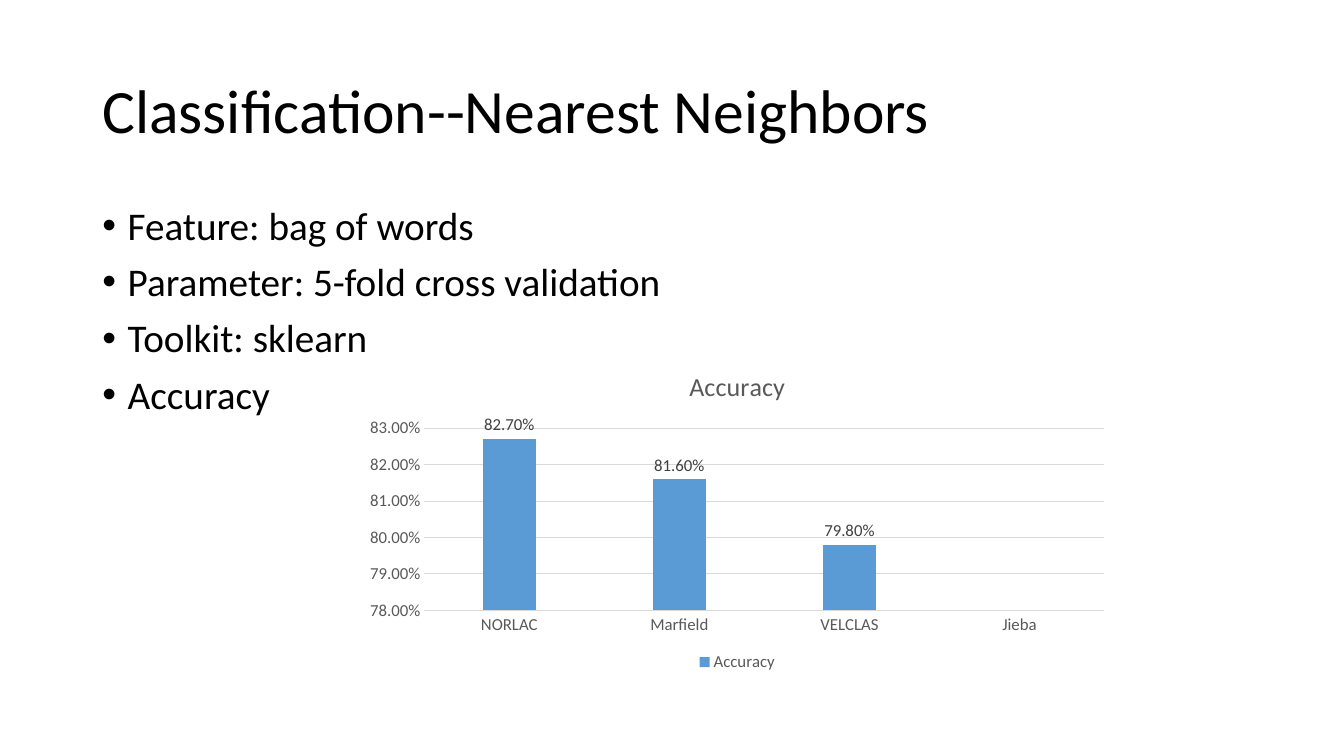
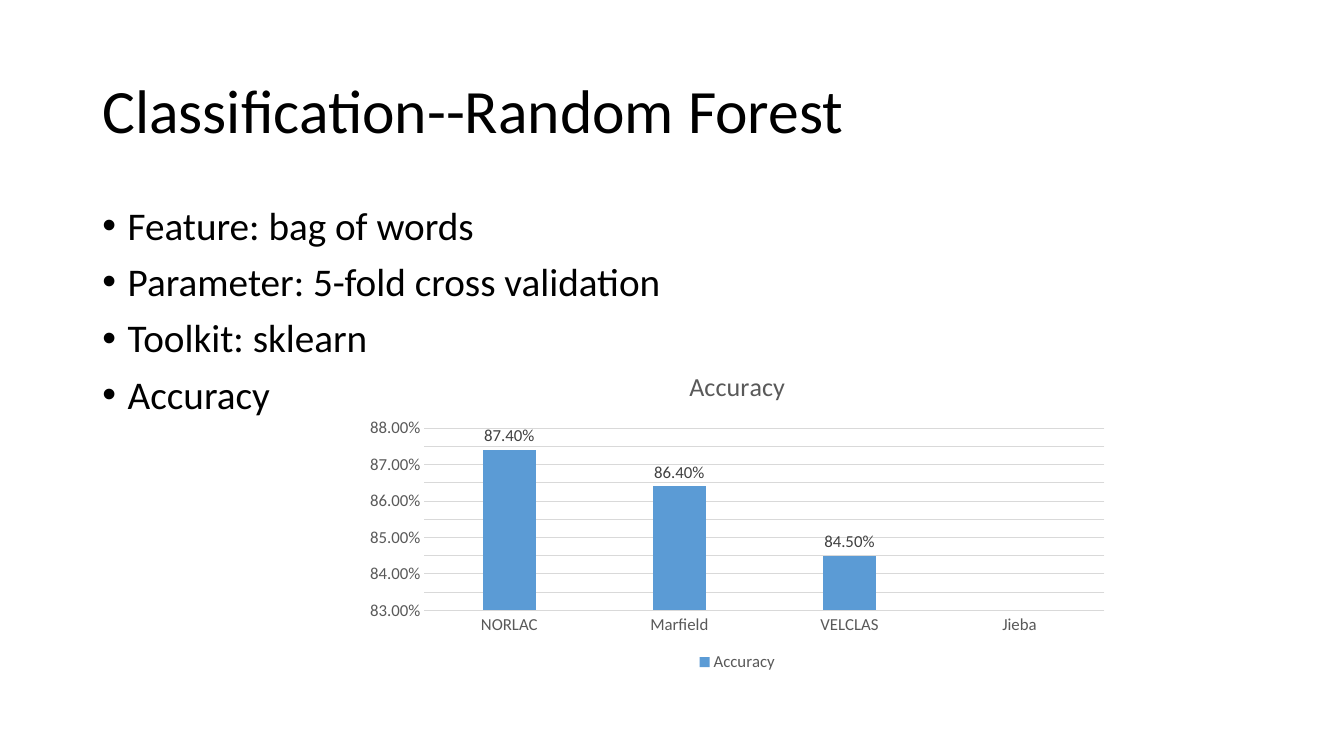
from pptx import Presentation
from pptx.chart.data import CategoryChartData as Data
from pptx.dml.color import RGBColor as RGB
from pptx.enum.chart import XL_CHART_TYPE as Kind, XL_LABEL_POSITION as Spot
from pptx.enum.chart import XL_LEGEND_POSITION as Side, XL_TICK_MARK as Tick
from pptx.enum.text import MSO_ANCHOR as Anchor
from pptx.oxml import parse_xml
from pptx.oxml.ns import nsdecls
from pptx.util import Cm, Pt

FONT = "Calibri"
HUES = {"text": "000000", "bar": "5B9BD5", "grid": "D9D9D9",
        "axis": "595959", "label": "404040"}
POINTS = ["Feature: bag of words", "Parameter: 5-fold cross validation",
          "Toolkit: sklearn", "Accuracy"]
TOOLS = ["NORLAC", "Marfield", "VELCLAS", "Jieba"]
SLIDES = [
    ("Nearest Neighbors", (0.827, 0.816, 0.798, None),
     {"minimum_scale": 0.78, "maximum_scale": 0.83, "major_unit": 0.01}),
    ("Random Forest", (0.874, 0.864, 0.845, None),
     {"minimum_scale": 0.83, "maximum_scale": 0.88, "major_unit": 0.005}),
]


def style(font, size, hue):
    for key, val in {"name": FONT, "size": Pt(size), "bold": False}.items():
        setattr(font, key, val)
    font.color.rgb = RGB.from_string(HUES[hue])


def write(slide, top, high, lines, size):
    frame = slide.shapes.add_textbox(Cm(2.33), Cm(top), Cm(29.21), Cm(high)).text_frame
    frame.word_wrap = True
    for i, line in enumerate(lines):
        para = frame.paragraphs[0] if i == 0 else frame.add_paragraph()
        para.line_spacing = 0.9
        run = para.add_run()
        run.text = line
        style(run.font, size, "text")
    return frame


deck = Presentation()
deck.slide_width, deck.slide_height = Cm(33.87), Cm(19.05)

for name, rates, scale in SLIDES:
    slide = deck.slides.add_slide(deck.slide_layouts[6])
    title = write(slide, 1.01, 3.68, ["Classification--" + name], 44)
    title.vertical_anchor = Anchor.MIDDLE

    for para in write(slide, 5.07, 12.09, POINTS, 28).paragraphs:
        para.space_before = Pt(10)
        props = para._p.get_or_add_pPr()
        props.set("marL", str(Cm(0.64)))
        props.set("indent", str(-Cm(0.64)))
        props.append(parse_xml(f'<a:buFont {nsdecls("a")} typeface="Arial"/>'))
        props.append(parse_xml(f'<a:buChar {nsdecls("a")} char="•"/>'))

    data = Data(number_format="0.00%")
    data.categories = TOOLS
    data.add_series("Accuracy", rates)
    chart = slide.shapes.add_chart(Kind.COLUMN_CLUSTERED, Cm(8.94), Cm(8.86),
                                   Cm(19.28), Cm(8.18), data).chart
    style(chart.font, 10, "text")
    head = chart.chart_title.text_frame
    head.text = "Accuracy"
    style(head.paragraphs[0].runs[0].font, 18.6, "axis")

    chart.has_legend = True
    chart.legend.position = Side.BOTTOM
    chart.legend.include_in_layout = False
    style(chart.legend.font, 12, "axis")

    plot = chart.plots[0]
    for key, val in {"gap_width": 219, "overlap": -27,
                     "vary_by_categories": False, "has_data_labels": True}.items():
        setattr(plot, key, val)
    fill = plot.series[0].format.fill
    fill.solid()
    fill.fore_color.rgb = RGB.from_string(HUES["bar"])
    for key, val in {"show_value": True, "position": Spot.OUTSIDE_END,
                     "number_format": "0.00%",
                     "number_format_is_linked": False}.items():
        setattr(plot.data_labels, key, val)
    style(plot.data_labels.font, 12, "label")

    base, side = chart.category_axis, chart.value_axis
    for axis in (base, side):
        axis.major_tick_mark = axis.minor_tick_mark = Tick.NONE
        style(axis.tick_labels.font, 12, "axis")
    side.has_major_gridlines = True
    for line in (base.format.line, side.major_gridlines.format.line):
        line.width = Pt(0.75)
        line.color.rgb = RGB.from_string(HUES["grid"])
    side.format.line.fill.background()
    side.tick_labels.number_format = "0.00%"
    side.tick_labels.number_format_is_linked = False
    for key, val in scale.items():
        setattr(side, key, val)

deck.save("out.pptx")
